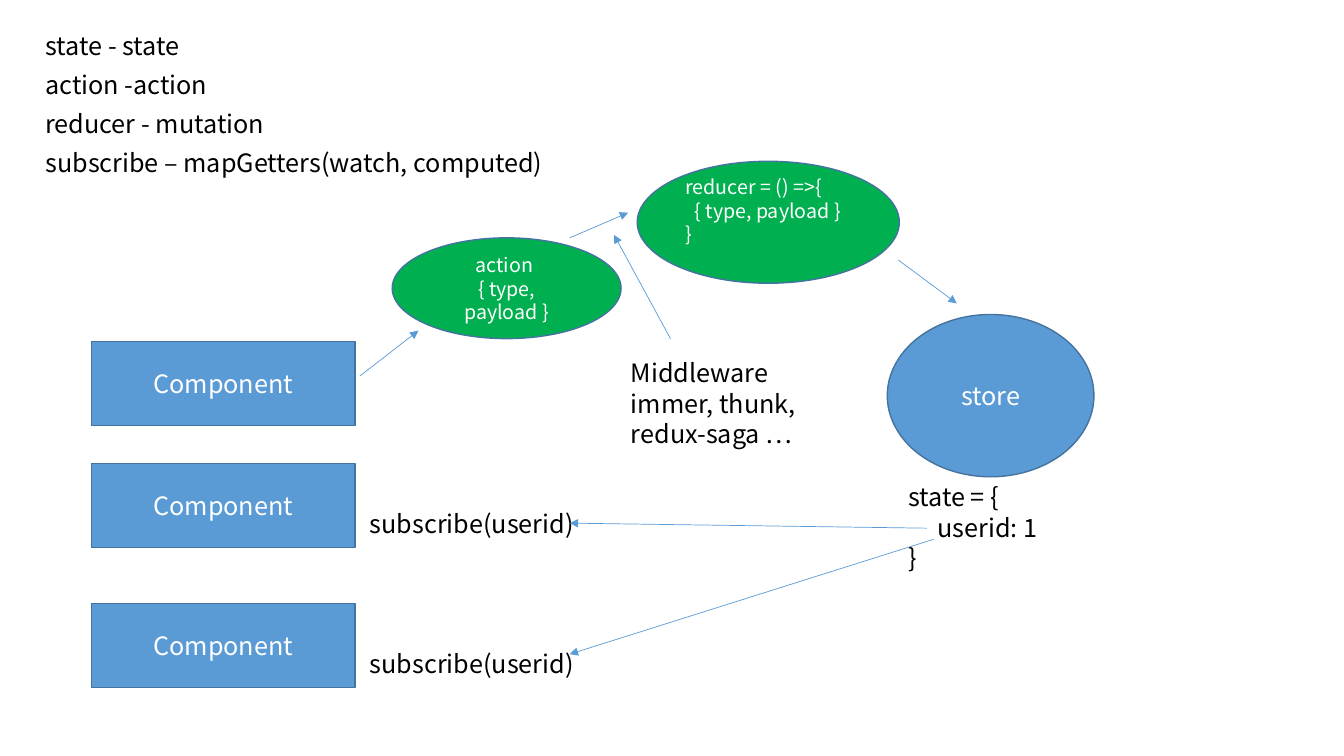
from pptx import Presentation
from pptx.dml.color import RGBColor
from pptx.enum.shapes import MSO_CONNECTOR, MSO_SHAPE
from pptx.enum.text import MSO_ANCHOR, MSO_AUTO_SIZE, PP_ALIGN
from pptx.oxml.ns import qn
from pptx.util import Inches, Pt
from lxml.etree import SubElement

FONT = "Noto Sans CJK KR"
HUES = {"blue": "5B9BD5", "edge": "43739E", "green": "00B050",
        "ink": "000000", "white": "FFFFFF"}


def hue(name):
    """Return a named colour."""
    return RGBColor.from_string(HUES[name])


def style(frame, size, color, align=PP_ALIGN.LEFT, after=0):
    """Format all text in a frame."""
    frame.word_wrap = True
    for para in frame.paragraphs:
        para.alignment = align
        para.line_spacing = Pt(size * 1.2)
        para.space_before, para.space_after = Pt(0), Pt(after)
        for run in para.runs:
            run.font.name = FONT
            run.font.size = Pt(size)
            run.font.color.rgb = hue(color)


def indent(para, left):
    """Move a paragraph in from the left."""
    para._p.get_or_add_pPr().set("marL", str(Inches(left)))


def label(slide, box, text):
    """Add plain black text in the box."""
    item = slide.shapes.add_textbox(*map(Inches, box))
    item.text_frame.text = text
    style(item.text_frame, 18, "ink")
    return item.text_frame


def node(slide, kind, box, text, fill="blue", size=18, align=PP_ALIGN.CENTER):
    """Add an outlined shape with white text in the box."""
    item = slide.shapes.add_shape(kind, *map(Inches, box))
    item.shadow.inherit = False
    item.fill.solid()
    item.fill.fore_color.rgb = hue(fill)
    item.line.color.rgb = hue("edge")
    item.line.width = Pt(1)
    frame = item.text_frame
    frame.text = text
    frame.vertical_anchor = MSO_ANCHOR.MIDDLE
    style(frame, size, "white", align)
    return frame


def arrow(slide, start, end):
    """Add a thin arrow from start to end."""
    line = slide.shapes.add_connector(
        MSO_CONNECTOR.STRAIGHT, *map(Inches, start + end))
    line.line.color.rgb = hue("blue")
    line.line.width = Pt(0.5)
    SubElement(line.line._get_or_add_ln(), qn("a:tailEnd"), type="triangle")
    SubElement(line._element.spPr, qn("a:effectLst"))


def terms(slide, box):
    """Fill the body placeholder with the list of matching terms."""
    title, body = slide.placeholders[0], slide.placeholders[1]
    title._element.getparent().remove(title._element)
    body.left, body.top, body.width, body.height = map(Inches, box)
    frame = body.text_frame
    frame.text = ("state - state\naction -action\nreducer - mutation\n"
                  "subscribe – mapGetters(watch, computed)")
    frame.auto_size = MSO_AUTO_SIZE.NONE
    frame.vertical_anchor = MSO_ANCHOR.TOP
    style(frame, 18, "ink", after=6.2)
    for para in frame.paragraphs:
        props = para._p.get_or_add_pPr()
        props.set("marL", "0")
        props.set("indent", "0")
        SubElement(props, qn("a:buNone"))


def parts(slide, box):
    """Stack the components, the lower two with their subscriptions."""
    left, top, width, height = box
    for step, listens in ((0, False), (1.21, True), (2.6, True)):
        node(slide, MSO_SHAPE.RECTANGLE,
             (left, top + step, width, height), "Component")
        if listens:
            label(slide, (left + width + 0.05, top + step + 0.39, 2.36, 0.4),
                  "subscribe(userid)")


def flow(slide, box):
    """Place the action, the reducer and the middleware note."""
    left, top = box[:2]
    node(slide, MSO_SHAPE.OVAL, (left, top + 0.76, 2.27, 1),
         "action \v{ type, payload }", "green", 14)
    frame = node(slide, MSO_SHAPE.OVAL, (left + 2.43, top, 2.6, 1.21),
                 "reducer = () =>{\n{ type, payload }\n}", "green", 14,
                 PP_ALIGN.LEFT)
    frame.margin_bottom = Inches(0.28)
    indent(frame.paragraphs[1], 0.09)
    label(slide, (left + 2.27, top + 1.9, 1.93, 1.01),
          "Middleware immer, thunk, redux-saga …")


def store(slide, box):
    """Place the store with its state below."""
    left, top, width, height = box
    node(slide, MSO_SHAPE.OVAL, box, "store")
    frame = label(slide, (left + 0.11, top + height, 2.31, 1.01),
                  "state = {\nuserid: 1\n}")
    indent(frame.paragraphs[1], 0.29)


def links(slide):
    """Join the steps of the cycle with arrows."""
    for start, end in (
            ((3.57, 3.73), (4.15, 3.28)),
            ((5.65, 2.36), (6.23, 2.11)),
            ((8.91, 2.58), (9.49, 3.01)),
            ((9.19, 5.24), (5.65, 5.19)),
            ((9.26, 5.35), (5.65, 6.49)),
            ((6.65, 3.36), (6.09, 2.33))):
        arrow(slide, start, end)


def main():
    """Build and save the slide."""
    deck = Presentation()
    deck.slide_width, deck.slide_height = Inches(13.33), Inches(7.5)
    slide = deck.slides.add_slide(deck.slide_layouts[1])
    terms(slide, (0.35, 0.25, 5.4, 1.55))
    parts(slide, (0.91, 3.39, 2.61, 0.83))
    flow(slide, (3.89, 1.6, 5.03, 2.91))
    store(slide, (8.8, 3.12, 2.05, 1.61))
    links(slide)
    deck.save("out.pptx")


main()
